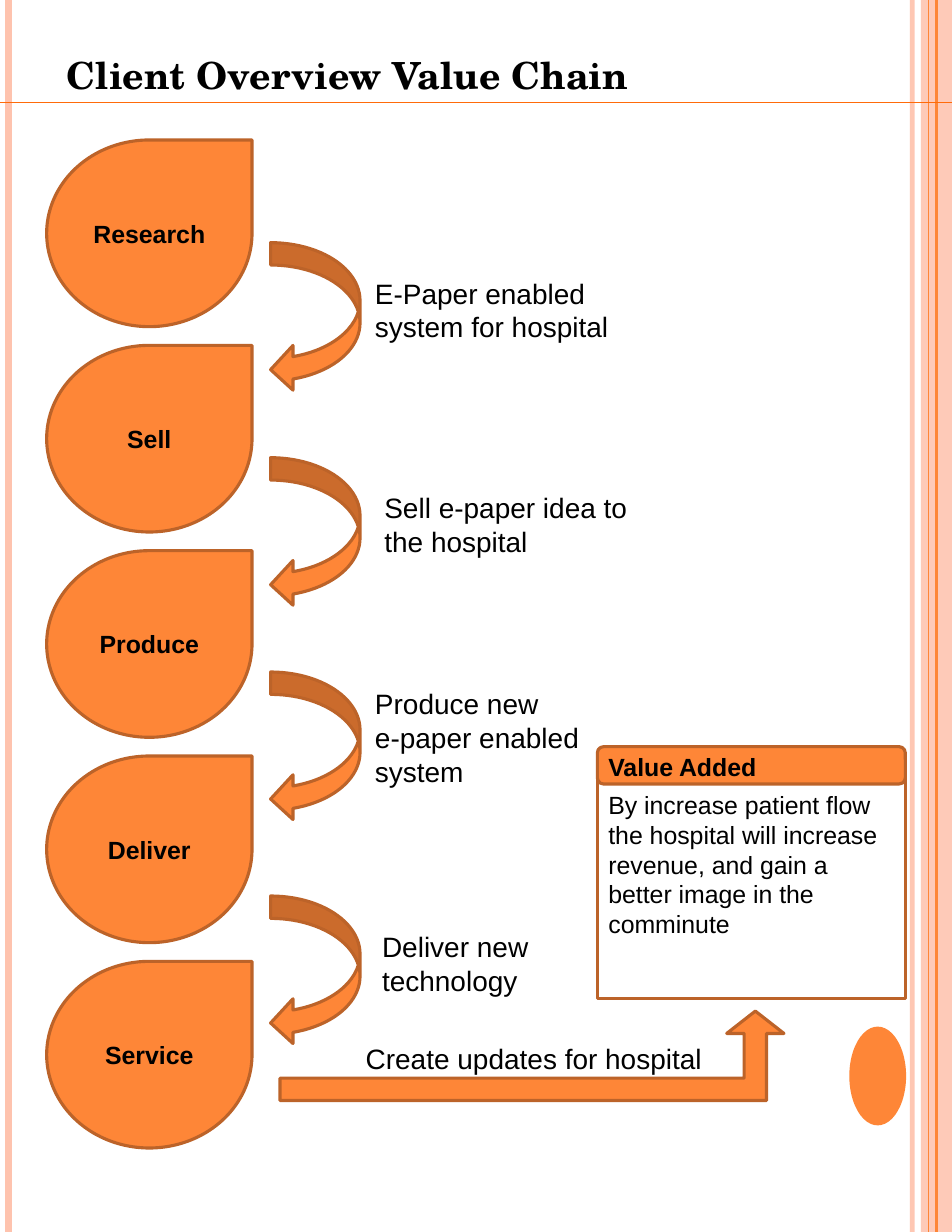
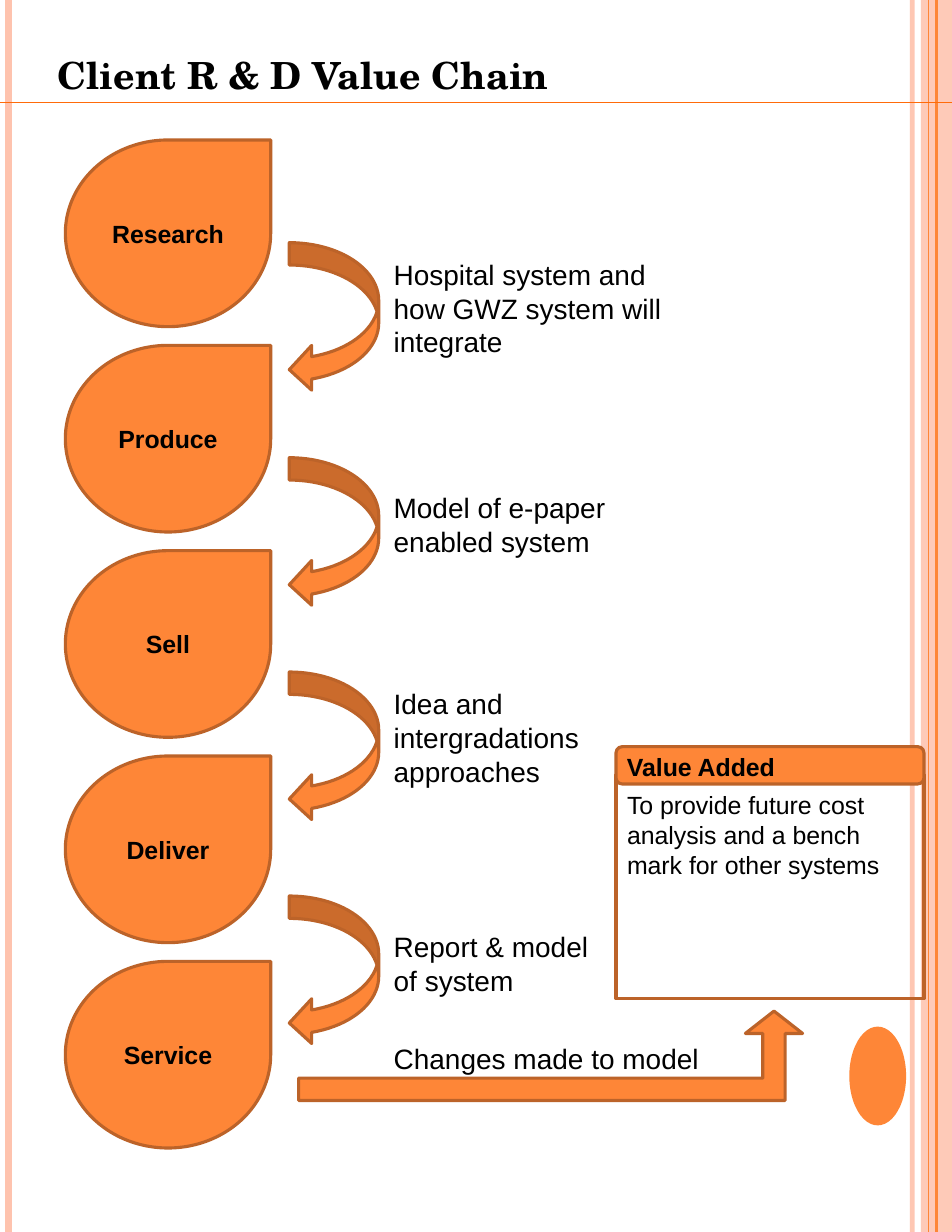
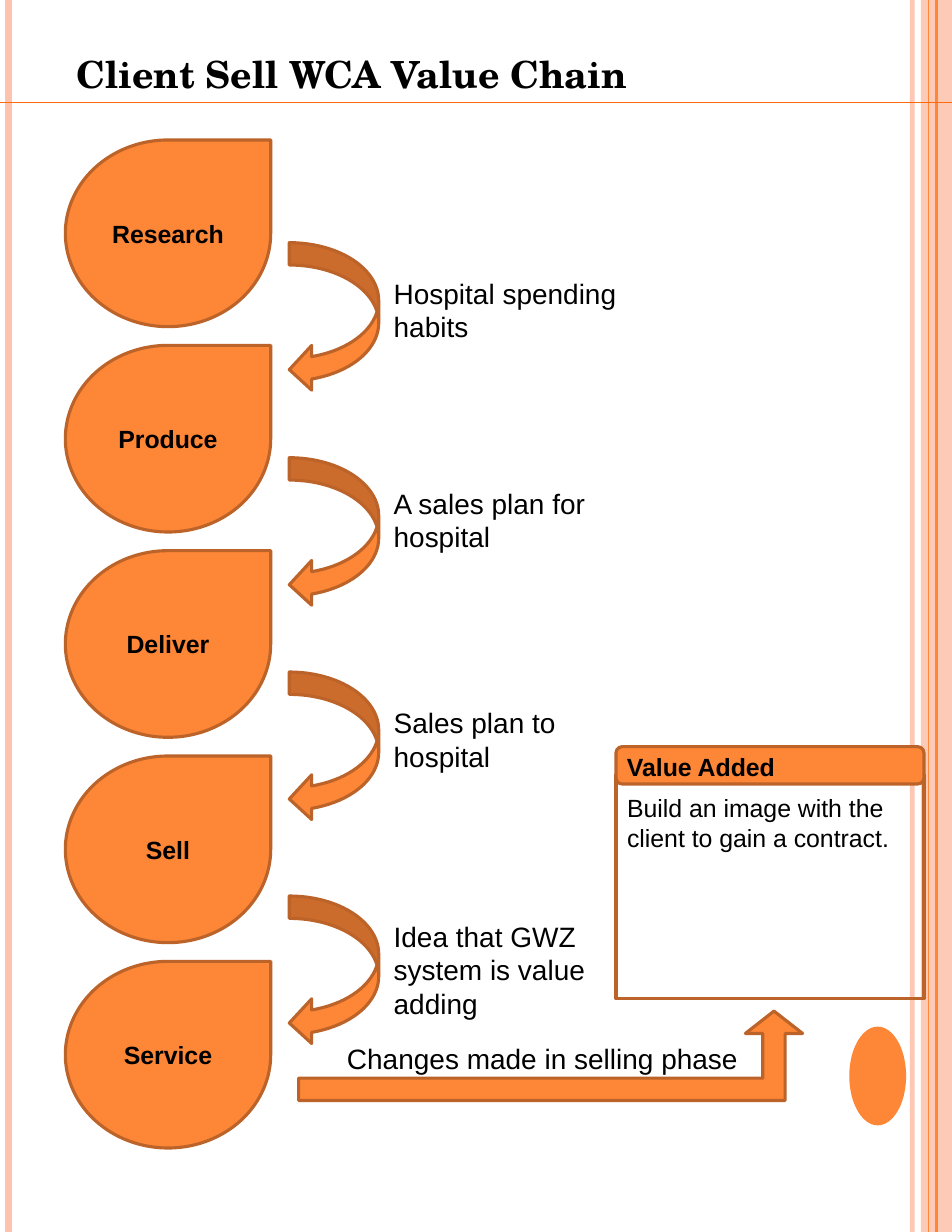
"""Build three client value chain slides."""
from dataclasses import dataclass

from lxml.etree import SubElement
from pptx import Presentation
from pptx.dml.color import RGBColor
from pptx.enum.shapes import MSO_CONNECTOR as Connector, MSO_SHAPE as Shape
from pptx.enum.text import MSO_ANCHOR as Anchor, MSO_AUTO_SIZE as AutoSize, PP_ALIGN as Align
from pptx.oxml.ns import qn
from pptx.util import Pt

CHAINS = [
    {
        "title": ("Client Overview Value Chain", 36, 30, 432),
        "left": 30,
        "stages": ["Research", "Sell", "Produce", "Deliver", "Service"],
        "captions": [
            (["E-Paper enabled", "system for hospital"], 234, 174, 169, 2, False),
            (["Sell e-paper idea to", "the hospital"], 240, 312, 172, 2, False),
            (["Produce new", "e-paper enabled", "system"], 234, 438, 149, 3, False),
            (["Deliver new", "technology"], 238.5, 594, 109.5, 2, False),
            (["Create updates for hospital"], 228, 666, 232.5, 1, False),
        ],
        "value": ("By increase patient flow the hospital will increase revenue, "
                  "and gain a better image in the comminute", 504, 192, 5),
    },
    {
        "title": ("Client R & D Value Chain", 30, 30, 558),
        "left": 42,
        "stages": ["Research", "Produce", "Sell", "Deliver", "Service"],
        "captions": [
            (["Hospital system and how GWZ system will integrate"], 246, 162, 210, 3, True),
            (["Model of e-paper enabled system"], 246, 312, 210, 2, True),
            (["Idea and intergradations approaches"], 246, 438, 204, 3, True),
            (["Report & model of system"], 246, 594, 156, 2, True),
            (["Changes made to model"], 246, 666, 212.5, 1, False),
        ],
        "value": ("To provide future cost analysis and a bench mark for other systems",
                  504, 198, 3),
    },
    {
        "title": ("Client Sell WCA Value Chain", 42, 29.5, 576),
        "left": 42,
        "stages": ["Research", "Produce", "Deliver", "Sell", "Service"],
        "captions": [
            (["Hospital spending habits"], 246, 174, 168, 2, True),
            (["A sales plan for hospital"], 246, 309, 144, 2, True),
            (["Sales plan to hospital"], 246, 450, 126, 2, True),
            (["Idea that GWZ system is value adding"], 246, 587.5, 156, 3, True),
            (["Changes made in selling phase"], 216, 666, 268, 1, False),
        ],
        "value": ("Build an image with the client to gain a contract.", 506, 198, 2),
    },
]
VALUE_HEADING = "Value Added"


@dataclass(frozen=True)
class Theme:
    orange: str = "FE8637"
    outline: str = "BC6329"
    peach: str = "FEC3AE"
    rule: str = "FF6B0A"
    ink: str = "000000"
    title_font: str = "TeX Gyre Schola"
    body_font: str = "Arial"
    title_size: int = 24
    caption_size: int = 18
    label_size: int = 16
    outline_width: int = 2


THEME = Theme()
WIDTH, HEIGHT = 612, 792
STAGE_TOP, STAGE_STEP, STAGE_SIZE = 90, 132, (132, 120)
ARROW_TOPS, ARROW_SIZE = (156, 294.25, 432, 576), (57.5, 96)
STRIPES = [
    (586.5, THEME.peach, 3, 93),
    (5.25, THEME.peach, 4.5, 100),
    (602, THEME.orange, 1.5, 100),
    (597, THEME.orange, 0.75, 100),
]


def set_opacity(fill_parent, percent):
    if percent < 100:
        color = next(fill_parent.iter(qn("a:srgbClr")))
        SubElement(color, qn("a:alpha"), val=str(percent * 1000))


def add_line(slide, start, end, color, width, opacity=100):
    line = slide.shapes.add_connector(Connector.STRAIGHT, *map(Pt, start + end))
    line.line.color.rgb = RGBColor.from_string(color)
    line.line.width = Pt(width)
    properties = line.element.spPr
    set_opacity(properties, opacity)
    SubElement(properties, qn("a:effectLst"))


def add_figure(slide, kind, position, size, fill=THEME.orange, outline=THEME.outline):
    shape = slide.shapes.add_shape(kind, *map(Pt, position + size))
    shape.shadow.inherit = False
    if fill:
        shape.fill.solid()
        shape.fill.fore_color.rgb = RGBColor.from_string(fill)
    else:
        shape.fill.background()
    if outline:
        shape.line.color.rgb = RGBColor.from_string(outline)
        shape.line.width = Pt(THEME.outline_width)
    else:
        shape.line.fill.background()
    return shape


def write(frame, lines, size, bold=False, font=THEME.body_font, align=Align.LEFT):
    for number, text in enumerate(lines):
        paragraph = frame.add_paragraph() if number else frame.paragraphs[0]
        paragraph.alignment = align
        run = paragraph.add_run()
        run.text = text
        run.font.name = font
        run.font.size = Pt(size)
        run.font.bold = bold
        run.font.color.rgb = RGBColor.from_string(THEME.ink)


def add_text(slide, lines, left, top, width, size, rows=1, wrap=True, **style):
    height = round(rows * size * 1.21 + 7.2, 1)
    frame = slide.shapes.add_textbox(*map(Pt, (left, top, width, height))).text_frame
    frame.word_wrap = wrap
    frame.auto_size = AutoSize.SHAPE_TO_FIT_TEXT
    write(frame, lines, size, **style)


def add_decoration(slide):
    band = add_figure(slide, Shape.RECTANGLE, (592, 0), (20, HEIGHT), THEME.peach, None)
    set_opacity(band.element.spPr, 87)
    for x, color, width, opacity in STRIPES:
        add_line(slide, (x, 0), (x, HEIGHT), color, width, opacity)
    add_figure(slide, Shape.OVAL, (546, 660), (36.5, 63.5), outline=None)
    add_line(slide, (0, 66), (WIDTH, 66), THEME.rule, 1)


def add_stages(slide, left, stages):
    for number, name in enumerate(stages):
        drop = add_figure(slide, Shape.TEAR, (left, STAGE_TOP + number * STAGE_STEP), STAGE_SIZE)
        drop.text_frame.vertical_anchor = Anchor.MIDDLE
        write(drop.text_frame, [name], THEME.label_size, bold=True, align=Align.CENTER)
    for top in ARROW_TOPS:
        add_figure(slide, Shape.CURVED_LEFT_ARROW, (left + 144, top), ARROW_SIZE)
    bent_arrow = add_figure(slide, Shape.BENT_UP_ARROW, (left + 150, 650), (324, 57.5))
    for index, amount in enumerate((0.25, 0.32, 0.25)):
        bent_arrow.adjustments[index] = amount


def add_value_box(slide, left, text, top, width, rows):
    add_figure(slide, Shape.RECTANGLE, (left, 498), (198, 144), fill=None)
    add_figure(slide, Shape.ROUNDED_RECTANGLE, (left, 480), (198, 24))
    add_text(slide, [VALUE_HEADING], left, 480, 186, THEME.label_size, bold=True)
    add_text(slide, [text], left, top, width, THEME.label_size, rows)


def add_chain(presentation, chain):
    slide = presentation.slides.add_slide(presentation.slide_layouts[6])
    add_decoration(slide)
    title, *place = chain["title"]
    add_text(slide, [title], *place, THEME.title_size, bold=True, font=THEME.title_font)
    add_stages(slide, chain["left"], chain["stages"])
    add_value_box(slide, chain["left"] + 354, *chain["value"])
    for lines, left, top, width, rows, wrap in chain["captions"]:
        add_text(slide, lines, left, top, width, THEME.caption_size, rows, wrap)


def main():
    presentation = Presentation()
    presentation.slide_width, presentation.slide_height = Pt(WIDTH), Pt(HEIGHT)
    for chain in CHAINS:
        add_chain(presentation, chain)
    presentation.save("out.pptx")


if __name__ == "__main__":
    main()
